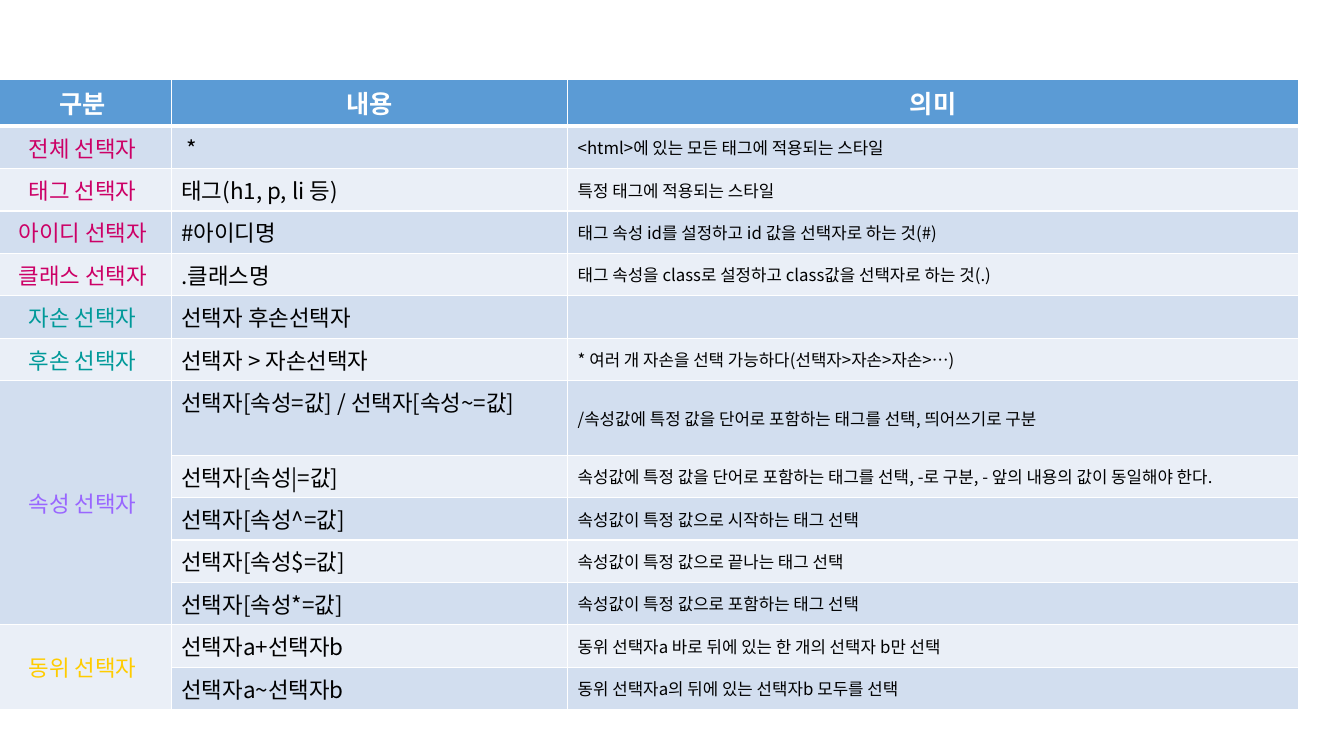
from lxml.etree import SubElement
from pptx import Presentation
from pptx.dml.color import RGBColor as RGB
from pptx.enum.text import MSO_ANCHOR as ANCHOR, PP_ALIGN as ALIGN
from pptx.oxml.ns import qn
from pptx.util import Inches, Pt

FONT = "Noto Sans CJK KR"
SLIDE_W, SLIDE_H = 13.33, 7.5
LEFT, TOP = -0.06, 0.79
COL_WIDTHS = [1.76, 3.93, 7.25]
ROW_HEIGHT = 0.41
COLORS = {
    "header": "5B9BD5",
    "odd": "D2DEEF",
    "even": "EAEFF7",
    "white": "FFFFFF",
    "black": "000000",
    "basic": "CC0066",
    "descendant": "009999",
    "attribute": "9966FF",
    "sibling": "FFCC00",
}
HEADERS = ["구분", "내용", "의미"]
GROUPS = [
    ("전체 선택자", "basic", [(" *", "<html>에 있는 모든 태그에 적용되는 스타일")]),
    ("태그 선택자", "basic", [("태그(h1, p, li 등)", "특정 태그에 적용되는 스타일")]),
    ("아이디 선택자", "basic", [
        ("#아이디명", "태그 속성 id를 설정하고 id 값을 선택자로 하는 것(#)")]),
    ("클래스 선택자", "basic", [
        (".클래스명", "태그 속성을 class로 설정하고 class값을 선택자로 하는 것(.)")]),
    ("자손 선택자", "descendant", [("선택자 후손선택자", "")]),
    ("후손 선택자", "descendant", [
        ("선택자 > 자손선택자", "* 여러 개 자손을 선택 가능하다(선택자>자손>자손>…)")]),
    ("속성 선택자", "attribute", [
        ("선택자[속성=값] / 선택자[속성~=값]",
         "/속성값에 특정 값을 단어로 포함하는 태그를 선택, 띄어쓰기로 구분"),
        ("선택자[속성|=값]",
         "속성값에 특정 값을 단어로 포함하는 태그를 선택, -로 구분, - 앞의 내용의 값이 동일해야 한다."),
        ("선택자[속성^=값]", "속성값이 특정 값으로 시작하는 태그 선택"),
        ("선택자[속성$=값]", "속성값이 특정 값으로 끝나는 태그 선택"),
        ("선택자[속성*=값]", "속성값이 특정 값으로 포함하는 태그 선택"),
    ]),
    ("동위 선택자", "sibling", [
        ("선택자a+선택자b", "동위 선택자a 바로 뒤에 있는 한 개의 선택자 b만 선택"),
        ("선택자a~선택자b", "동위 선택자a의 뒤에 있는 선택자b 모두를 선택"),
    ]),
]


def set_borders(cell, top=1, bottom=1):
    tcPr = cell._tc.get_or_add_tcPr()
    sides = [("a:lnL", 1), ("a:lnR", 1), ("a:lnT", top), ("a:lnB", bottom)]
    for tag, width in sides:
        ln = SubElement(tcPr, qn(tag), w=str(Pt(width)))
        fill = SubElement(ln, qn("a:solidFill"))
        SubElement(fill, qn("a:srgbClr"), val=COLORS["white"])


def style_cell(cell, fill, top=1, bottom=1):
    set_borders(cell, top, bottom)
    cell.fill.solid()
    cell.fill.fore_color.rgb = RGB.from_string(COLORS[fill])


def write_cell(cell, text, size, color="black", bold=False,
               align=ALIGN.LEFT, anchor=ANCHOR.MIDDLE):
    cell.vertical_anchor = anchor
    p = cell.text_frame.paragraphs[0]
    p.alignment = align
    if not text:
        SubElement(p._p, qn("a:endParaRPr"), sz=str(size * 100))
        return
    r = p.add_run()
    r.text = text
    r.font.size = Pt(size)
    r.font.bold = bold
    r.font.name = FONT
    r.font.color.rgb = RGB.from_string(COLORS[color])
    SubElement(r.font._element, qn("a:ea"), typeface=FONT)


def add_grid(slide):
    n_rows = 1 + sum(len(entries) for _, _, entries in GROUPS)
    frame = slide.shapes.add_table(
        n_rows, len(COL_WIDTHS), Inches(LEFT), Inches(TOP),
        Inches(sum(COL_WIDTHS)), Inches(n_rows * ROW_HEIGHT))
    table = frame.table
    for column, width in zip(table.columns, COL_WIDTHS):
        column.width = Inches(width)
    for i, row in enumerate(table.rows):
        row.height = Inches(ROW_HEIGHT)
        fill = "header" if i == 0 else "odd" if i % 2 else "even"
        for cell in row.cells:
            style_cell(cell, fill, top=3 if i == 1 else 1,
                       bottom=3 if i == 0 else 1)
    return table


def fill_header(table):
    for col, title in enumerate(HEADERS):
        write_cell(table.cell(0, col), title, 18, "white", True,
                   ALIGN.CENTER, ANCHOR.TOP)


def fill_group(table, start, name, color, entries):
    for row, (syntax, meaning) in enumerate(entries, start):
        write_cell(table.cell(row, 0), name if row == start else "", 16,
                   color, align=ALIGN.CENTER)
        write_cell(table.cell(row, 1), syntax, 16, anchor=ANCHOR.TOP)
        write_cell(table.cell(row, 2), meaning, 12)
    end = start + len(entries)
    if len(entries) > 1:
        table.cell(start, 0).merge(table.cell(end - 1, 0))
    return end


def main():
    prs = Presentation()
    prs.slide_width, prs.slide_height = Inches(SLIDE_W), Inches(SLIDE_H)
    slide = prs.slides.add_slide(prs.slide_layouts[6])
    table = add_grid(slide)
    fill_header(table)
    row = 1
    for name, color, entries in GROUPS:
        row = fill_group(table, row, name, color, entries)
    prs.save("out.pptx")


if __name__ == "__main__":
    main()
